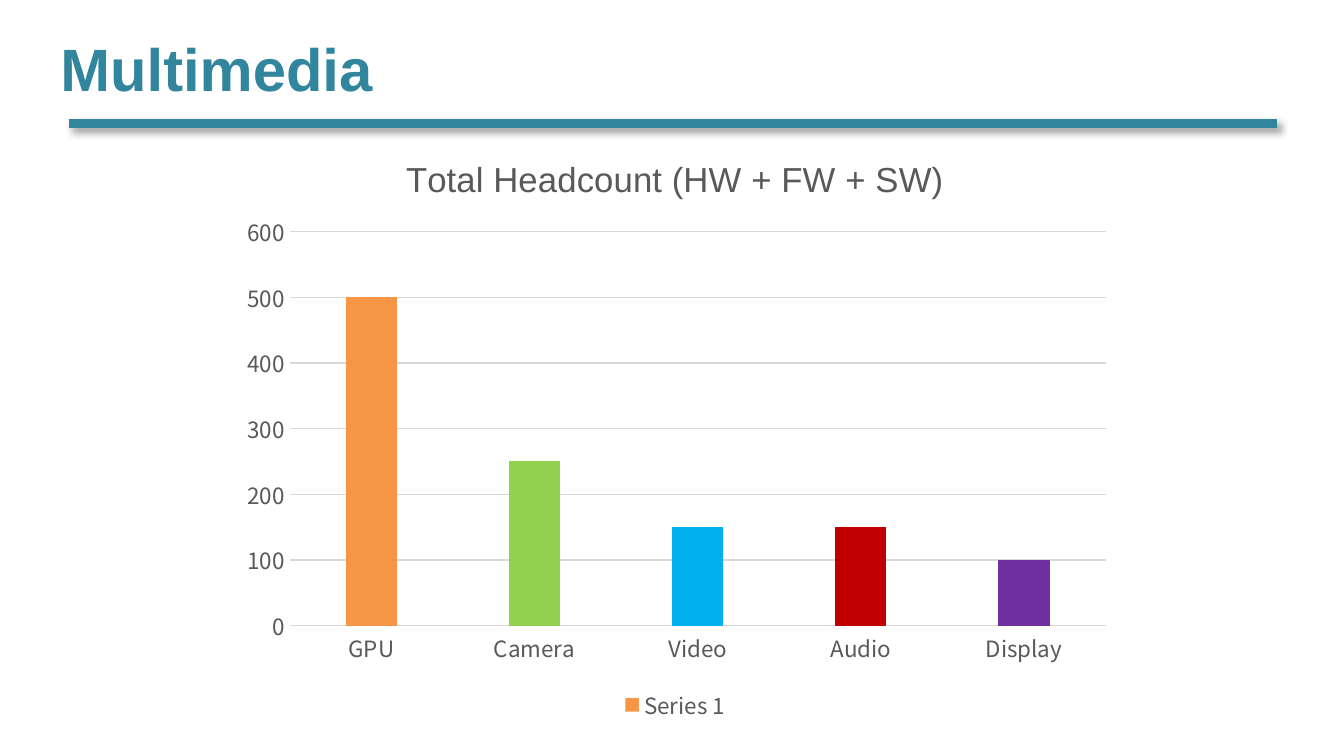
"""Build the Multimedia headcount slide."""
from dataclasses import dataclass

from lxml.etree import SubElement
from pptx import Presentation
from pptx.chart.chart import Chart
from pptx.chart.data import CategoryChartData
from pptx.dml.color import RGBColor
from pptx.enum.chart import XL_CHART_TYPE, XL_LEGEND_POSITION, XL_TICK_MARK
from pptx.enum.shapes import MSO_CONNECTOR
from pptx.enum.text import MSO_ANCHOR, PP_ALIGN
from pptx.oxml import parse_xml
from pptx.oxml.ns import nsdecls, qn
from pptx.slide import Slide
from pptx.text.text import Font
from pptx.util import Inches, Pt

COLORS = {
    "teal": "31859C", "text": "595959", "grid": "D9D9D9", "orange": "F79646",
    "green": "92D050", "blue": "00B0F0", "red": "C00000", "purple": "7030A0",
}
HEADING_FONT = "Arial"
CHART_FONT = "Noto Sans CJK KR"


@dataclass
class Team:
    name: str
    headcount: int
    color: str


TEAMS = [
    Team("GPU", 500, "orange"),
    Team("Camera", 250, "green"),
    Team("Video", 150, "blue"),
    Team("Audio", 150, "red"),
    Team("Display", 100, "purple"),
]


def rgb(name: str) -> RGBColor:
    return RGBColor.from_string(COLORS[name])


def set_font(font: Font, name: str, size: float, color: str, bold: bool = False) -> None:
    font.name, font.size, font.bold = name, Pt(size), bold
    font.color.rgb = rgb(color)


def add_rule(s: Slide) -> None:
    y = Inches(0.92)
    line = s.shapes.add_connector(MSO_CONNECTOR.STRAIGHT, Inches(0.51), y, Inches(9.5), y)
    line.line.color.rgb = rgb("teal")
    line.line.width = Pt(4.5)
    line._element.spPr.append(parse_xml(
        f'<a:effectLst {nsdecls("a")}><a:outerShdw blurRad="{Pt(4)}" dist="{Pt(3)}" '
        f'dir="{45 * 60000}" algn="tl" rotWithShape="0"><a:srgbClr val="000000">'
        '<a:alpha val="40000"/></a:srgbClr></a:outerShdw></a:effectLst>'))


def add_title(s: Slide, text: str) -> None:
    sp = s.shapes.title
    sp.left, sp.top, sp.width, sp.height = map(Inches, (0.35, 0.03, 9.65, 0.94))
    tf = sp.text_frame
    tf.text = text
    tf.vertical_anchor = MSO_ANCHOR.MIDDLE
    p = tf.paragraphs[0]
    p.alignment = PP_ALIGN.LEFT
    set_font(p.font, HEADING_FONT, 32, "teal", bold=True)


def set_plot_area(chart: Chart, x: float, y: float, w: float, h: float) -> None:
    plot_area = chart._chartSpace.chart.plotArea
    layout = plot_area.find(qn("c:layout"))
    if layout is None:
        layout = parse_xml(f'<c:layout {nsdecls("c")}/>')
        plot_area.insert(0, layout)
    manual = SubElement(layout, qn("c:manualLayout"))
    settings = {"layoutTarget": "inner", "xMode": "edge", "yMode": "edge",
                "x": x, "y": y, "w": w, "h": h}
    for tag, val in settings.items():
        SubElement(manual, qn(f"c:{tag}")).set("val", str(val))


def add_headcount_chart(s: Slide, teams: list[Team]) -> None:
    data = CategoryChartData()
    data.categories = [team.name for team in teams]
    data.add_series("Series 1", [team.headcount for team in teams])
    chart = s.shapes.add_chart(XL_CHART_TYPE.COLUMN_CLUSTERED, Inches(1.69), Inches(0.97),
                               Inches(6.67), Inches(4.44), data).chart
    set_font(chart.font, CHART_FONT, 12, "text")

    tf = chart.chart_title.text_frame
    tf.text = "Total Headcount (HW + FW + SW)"
    set_font(tf.paragraphs[0].font, HEADING_FONT, 18.6, "text")
    chart.chart_title.include_in_layout = False

    chart.has_legend = True
    chart.legend.position = XL_LEGEND_POSITION.BOTTOM
    chart.legend.include_in_layout = False
    set_font(chart.legend.font, CHART_FONT, 12, "text")

    for axis in (chart.category_axis, chart.value_axis):
        axis.major_tick_mark = axis.minor_tick_mark = XL_TICK_MARK.NONE
        set_font(axis.tick_labels.font, CHART_FONT, 12, "text")
    axis = chart.value_axis
    axis.minimum_scale, axis.maximum_scale, axis.major_unit = 0, 600, 100
    axis.format.line.fill.background()
    for line in (chart.category_axis.format.line, axis.major_gridlines.format.line):
        line.color.rgb = rgb("grid")
        line.width = Pt(0.75)

    plot = chart.plots[0]
    plot.gap_width, plot.overlap = 219, -27
    plot.vary_by_categories = False
    series = plot.series[0]
    series.smooth = False if hasattr(series, "smooth") else None
    for i, team in enumerate(teams):
        fill = (series.points[i] if i else series).format.fill
        fill.solid()
        fill.fore_color.rgb = rgb(team.color)
    set_plot_area(chart, 0.07, 0.17, 0.91, 0.66)


def main() -> None:
    prs = Presentation()
    prs.slide_width = Inches(10)
    prs.slide_height = prs.slide_width * 9 // 16
    s = prs.slides.add_slide(prs.slide_layouts[5])
    add_rule(s)
    add_title(s, "Multimedia")
    add_headcount_chart(s, TEAMS)
    prs.save("out.pptx")


if __name__ == "__main__":
    main()
